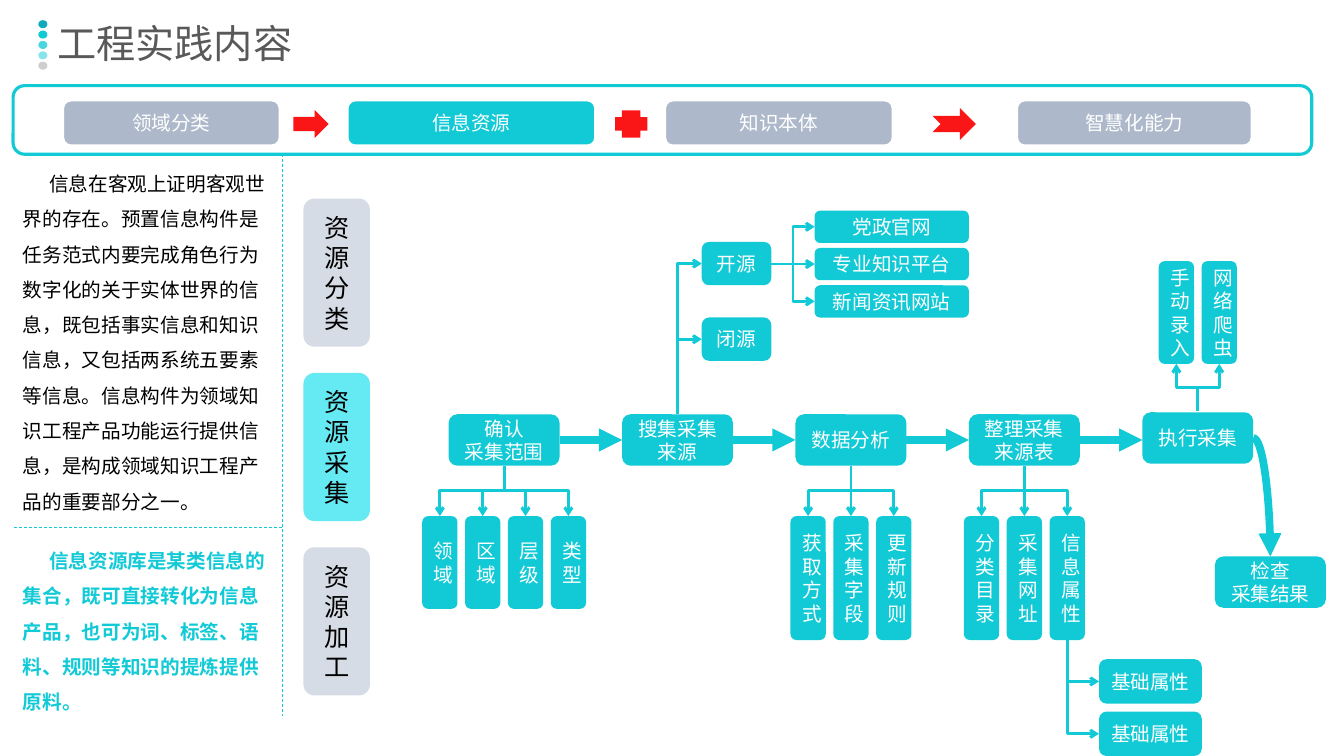
from lxml.etree import SubElement
from pptx import Presentation
from pptx.dml.color import RGBColor
from pptx.enum.dml import MSO_LINE
from pptx.enum.shapes import MSO_CONNECTOR, MSO_SHAPE
from pptx.enum.text import MSO_ANCHOR, PP_ALIGN
from pptx.oxml.ns import qn
from pptx.util import Emu, Pt

PX = 9144  # 100 px to the inch
FONT = "Noto Sans CJK SC"
COLORS = {
    "teal": "12CAD6", "deep": "0FABBC", "aqua": "65E9F2", "slate": "ADB9CA",
    "mist": "D6DCE5", "grey": "BFBFBF", "title": "595959", "red": "FA1616",
    "white": "FFFFFF", "black": "000000",
}
ROTATION = {"right": 0, "down": 90, "up": 270}
COLUMN_WIDTH, COLUMN_PITCH = 35, 42.5


def px(*lengths):
    return [Emu(round(length * PX)) for length in lengths]


def color(name):
    return RGBColor.from_string(COLORS[name])


def write(shape, text, size, ink, align=PP_ALIGN.CENTER, spacing=None, bold=False, indent=0):
    frame = shape.text_frame
    frame.word_wrap = True
    frame.text = text
    for paragraph in frame.paragraphs:
        paragraph.alignment = align
        if spacing:
            paragraph.line_spacing = spacing
        if indent:
            paragraph._p.get_or_add_pPr().set("indent", str(indent * PX))
        for run in paragraph.runs:
            run.font.size, run.font.bold, run.font.name = Pt(size), bold, FONT
            run.font.color.rgb = color(ink)
            SubElement(run._r.get_or_add_rPr(), qn("a:ea"), typeface=FONT)


def add_box(slide, box, fill, text="", size=14, ink="white", kind=MSO_SHAPE.ROUNDED_RECTANGLE,
            outline=None, weight=1, alpha=None):
    shape = slide.shapes.add_shape(kind, *px(*box))
    shape.shadow.inherit = False
    if fill:
        shape.fill.solid()
        shape.fill.fore_color.rgb = color(fill)
    else:
        shape.fill.background()
    if alpha:
        fill_color = shape._element.spPr.find(qn("a:solidFill"))[0]
        SubElement(fill_color, qn("a:alpha"), val=str(alpha * 1000))
    if outline:
        shape.line.color.rgb = color(outline)
        shape.line.width = Pt(weight)
    else:
        shape.line.fill.background()
    if text:
        shape.text_frame.vertical_anchor = MSO_ANCHOR.MIDDLE
        write(shape, text, size, ink)
    return shape


def add_text(slide, box, text, size, ink, **style):
    shape = slide.shapes.add_textbox(*px(*box))
    write(shape, text, size, ink, align=PP_ALIGN.LEFT, **style)
    return shape


def add_line(slide, start, end, weight=2, head="arrow", preset="line", leaving="right"):
    """Draw a line whose first leg runs in the direction given by leaving."""
    (x1, y1), (x2, y2) = start, end
    if preset == "line":
        connector = slide.shapes.add_connector(MSO_CONNECTOR.STRAIGHT, *px(x1, y1, x2, y2))
    else:
        width, height = abs(x2 - x1), abs(y2 - y1)
        if leaving != "right":
            width, height = height, width
        left, top = (x1 + x2 - width) / 2, (y1 + y2 - height) / 2
        connector = slide.shapes.add_connector(
            MSO_CONNECTOR.ELBOW, *px(left, top, left + width, top + height))
        properties = connector._element.spPr
        properties.find(qn("a:prstGeom")).set("prst", preset)
        frame = properties.find(qn("a:xfrm"))
        frame.set("rot", str(ROTATION[leaving] * 60000))
        if {"right": y2 < y1, "down": x2 > x1, "up": x2 < x1}[leaving]:
            frame.set("flipV", "1")
    connector.line.color.rgb = color("teal")
    connector.line.width = Pt(weight)
    if head:
        SubElement(connector.line._get_or_add_ln(), qn("a:tailEnd"), type=head)
    SubElement(connector._element.spPr, qn("a:effectLst"))
    return connector


def draw_title(slide, left, top, width, height):
    dots = [("deep", None), ("teal", None), ("teal", 76), ("teal", 50), ("grey", 76)]
    for index, (fill, alpha) in enumerate(dots):
        add_box(slide, (left, top + 1 + index * 10.3, 9, 8), fill, kind=MSO_SHAPE.OVAL, alpha=alpha)
    title = add_text(slide, (left + 9, top, width - 9, height), "工程实践内容", 28, "title", spacing=0.9)
    title.text_frame.vertical_anchor = MSO_ANCHOR.MIDDLE


def draw_banner(slide, left, top, width, height):
    add_box(slide, (left, top, width, height), None, outline="teal", weight=2.25)
    topics = [(50, 214, "slate", "领域分类"), (332, 245, "teal", "信息资源"),
              (647, 225, "slate", "知识本体"), (996, 232, "slate", "智慧化能力")]
    for offset, label_width, fill, text in topics:
        add_box(slide, (left + offset, top + 15, label_width, 44), fill, text, outline="white")
    signs = [(278, 35, 28, MSO_SHAPE.RIGHT_ARROW), (597, 32, 27, MSO_SHAPE.CROSS),
             (912, 43, 32, MSO_SHAPE.NOTCHED_RIGHT_ARROW)]
    for offset, sign_width, sign_height, kind in signs:
        sign_top = top + 38 - sign_height / 2
        add_box(slide, (left + offset, sign_top, sign_width, sign_height), "red", kind=kind)


def draw_notes(slide, left, top, width, height):
    right, divider = left + width, top + 370
    add_text(slide, (left, top + 1, width, 363),
             "信息在客观上证明客观世界的存在。预置信息构件是任务范式内要完成角色行为数字化的关于实体世界的信息，"
             "既包括事实信息和知识信息，又包括两系统五要素等信息。信息构件为领域知识工程产品功能运行提供信息，"
             "是构成领域知识工程产品的重要部分之一。", 14, "black", spacing=1.5, indent=26)
    add_text(slide, (left, divider + 5, width, 187),
             "信息资源库是某类信息的集合，既可直接转化为信息产品，也可为词、标签、语料、规则等知识的提炼提供原料。",
             14, "teal", spacing=1.5, bold=True, indent=26)
    for start, end in [((right, top), (right, top + height)), ((right, divider), (left, divider))]:
        add_line(slide, start, end, 0.5, None).line.dash_style = MSO_LINE.DASH


def draw_stages(slide, left, top, width, height):
    stages = [("资源分类", "mist"), ("资源采集", "aqua"), ("资源加工", "mist")]
    for index, (text, fill) in enumerate(stages):
        add_box(slide, (left, top + index * 173, width, height), fill, text, 18, "black")


def draw_columns(slide, center, start, top, height, labels):
    """Narrow boxes centred on a step, each reached by an arrow from it."""
    span = (len(labels) - 1) * COLUMN_PITCH + COLUMN_WIDTH
    below = top > start
    for index, text in enumerate(labels):
        left = center - span / 2 + index * COLUMN_PITCH
        add_box(slide, (left, top, COLUMN_WIDTH, height), "teal", text)
        middle = left + COLUMN_WIDTH / 2
        add_line(slide, (center, start), (middle, top if below else top + height),
                 preset="line" if middle == center else "bentConnector3",
                 leaving="down" if below else "up")


def draw_rows(slide, start, box, pitch, labels, preset, leaving):
    """Stacked boxes, each reached at its left edge by an arrow."""
    left, top, width, height = box
    for index, text in enumerate(labels):
        row_top = top + index * pitch
        add_box(slide, (left, row_top, width, height), "teal", text)
        middle = row_top + height / 2
        straight = middle == start[1]
        add_line(slide, start, (left, middle), preset="line" if straight else preset, leaving=leaving)


def draw_flow(slide, left, top, width, height):
    """Steps in a row, with the branches above and below them."""
    pitch, axis, bottom = 172, top + height / 2, top + height
    steps = ["确认\n采集范围", "搜集采集来源", "数据分析", "整理采集来源表", "执行采集"]
    lefts = [left + index * pitch for index in range(len(steps))]
    centers = [step_left + width / 2 for step_left in lefts]
    for index, text in enumerate(steps):
        lift = 2 if text == steps[-1] else 0
        add_box(slide, (lefts[index], top - lift, width, height), "teal", text)
        if index:
            add_line(slide, (lefts[index] - pitch + width, axis), (lefts[index], axis), 5.5, "triangle")

    # Columns below and above the steps
    column_top = bottom + 50
    draw_columns(slide, centers[0], bottom, column_top, 92, ["领域", "区域", "层级", "类型"])
    draw_columns(slide, centers[2], bottom, column_top, 123, ["获取方式", "采集字段", "更新规则"])
    draw_columns(slide, centers[3], bottom, column_top, 123, ["分类目录", "采集网址", "信息属性"])
    draw_columns(slide, centers[4], top - 3, top - 152, 102, ["手动录入", "网络爬虫"])

    # Rows beside the branches
    draw_rows(slide, (centers[1], top), (centers[1] + 24, top - 171, 69, 43), 75,
              ["开源", "闭源"], "bentConnector2", "up")
    draw_rows(slide, (centers[1] + 93, top - 149), (centers[1] + 136, top - 202, 153, 32), 37,
              ["党政官网", "专业知识平台", "新闻资讯网站"], "bentConnector3", "right")
    draw_rows(slide, (centers[3] + COLUMN_PITCH, column_top + 123),
              (centers[3] + 74, top + 243, 102, 44), 52,
              ["基础属性"] * 2, "bentConnector2", "down")

    # Final check
    check_left, check_top = lefts[4] + 72, top + 141
    add_box(slide, (check_left, check_top, width, height), "teal", "检查\n采集结果")
    add_line(slide, (lefts[4] + width, axis - 2), (check_left + width / 2, check_top),
             5.5, "triangle", "curvedConnector2")


def main():
    presentation = Presentation()
    presentation.slide_width, presentation.slide_height = px(1333, 750)
    slide = presentation.slides.add_slide(presentation.slide_layouts[6])
    draw_title(slide, 38, 19, 553, 52)
    draw_banner(slide, 13, 85, 1288, 68)
    draw_notes(slide, 13, 153, 267, 557)
    draw_stages(slide, 301, 197, 66, 147)
    draw_flow(slide, 445, 411, 110, 51)
    presentation.save("out.pptx")


if __name__ == "__main__":
    main()
